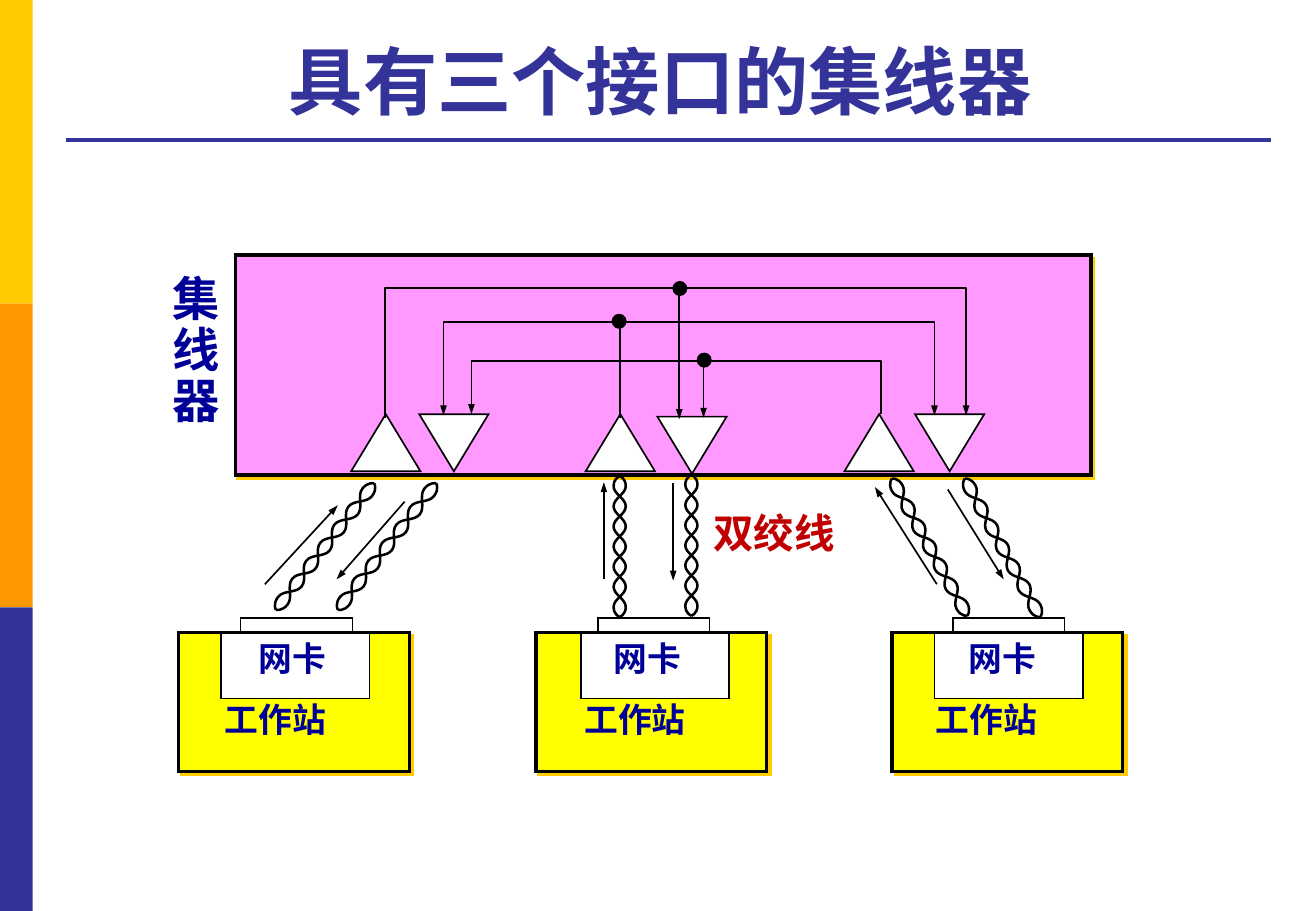
import math

from lxml import etree
from pptx import Presentation
from pptx.dml.color import RGBColor
from pptx.enum.shapes import MSO_CONNECTOR, MSO_SHAPE
from pptx.enum.text import MSO_ANCHOR, MSO_AUTO_SIZE, PP_ALIGN
from pptx.oxml.ns import qn
from pptx.util import Inches, Pt

RECT, TRIANGLE, OVAL = MSO_SHAPE.RECTANGLE, MSO_SHAPE.ISOSCELES_TRIANGLE, MSO_SHAPE.OVAL
STRAIGHT = MSO_CONNECTOR.STRAIGHT


class Theme:
    font = "Arial"
    navy, gold, orange = "333399", "FFCC00", "FF9900"
    text, accent = "000099", "C00000"
    hub, station, white, black = "FF99FF", "FFFF00", "FFFFFF", "000000"
    title_size, hub_size, cable_size, station_size = 44, 28, 24, 20
    thin, cable, rule, thick = 1, 1.5, 2.25, 2


prs = Presentation()
prs.slide_width, prs.slide_height = Inches(10.83), Inches(7.5)
s = prs.slides.add_slide(prs.slide_layouts[5])


def add_box(kind, x, y, w, h, fill, line=None, shadow=None):
    """Draw a filled shape; shadow is (distance in points, angle in degrees)."""
    sp = s.shapes.add_shape(kind, Inches(x), Inches(y), Inches(w), Inches(h))
    sp.fill.solid()
    sp.fill.fore_color.rgb = RGBColor.from_string(fill)
    if line:
        sp.line.color.rgb = RGBColor.from_string(Theme.black)
        sp.line.width = Pt(line)
        etree.SubElement(sp._element.spPr.find(qn("a:ln")), qn("a:miter"), lim="800000")
    else:
        sp.line.fill.background()
    sp.shadow.inherit = False
    if shadow:
        distance, angle = shadow
        effects = sp._element.spPr.find(qn("a:effectLst"))
        outer = etree.SubElement(effects, qn("a:outerShdw"), blurRad="0",
                                 dist=str(Pt(distance)), dir=str(angle * 60000),
                                 algn="ctr", rotWithShape="0")
        etree.SubElement(outer, qn("a:srgbClr"), val=Theme.gold)
    return sp


def add_label(lines, x, y, w, h, size, color, spacing=None):
    tf = s.shapes.add_textbox(Inches(x), Inches(y), Inches(w), Inches(h)).text_frame
    tf.word_wrap = False
    for i, line in enumerate(lines):
        p = tf.paragraphs[0] if i == 0 else tf.add_paragraph()
        p.text = line
        p.line_spacing = spacing
        p.font.name, p.font.size, p.font.bold = Theme.font, Pt(size), True
        p.font.color.rgb = RGBColor.from_string(color)


# Side stripe
for i, color in enumerate((Theme.gold, Theme.orange, Theme.navy)):
    add_box(RECT, 0, 2.5 * i, 0.27, 2.5, color)

# Title
title = s.shapes.title
title.left, title.top, title.width, title.height = map(Inches, (0.48, 0.2, 9.91, 0.87))
tf = title.text_frame
tf.text = "具有三个接口的集线器"
tf.auto_size = MSO_AUTO_SIZE.NONE
tf.vertical_anchor = MSO_ANCHOR.BOTTOM
p = tf.paragraphs[0]
p.alignment = PP_ALIGN.CENTER
p.font.name, p.font.size, p.font.bold = Theme.font, Pt(Theme.title_size), True
p.font.color.rgb = RGBColor.from_string(Theme.navy)

# Hub with its receivers (up) and transmitters (down)
add_box(RECT, 1.94, 2.1, 7.04, 1.81, Theme.hub, Theme.thick, (2.2, 63))
for x, y, rotation in ((2.89, 3.41, 0), (4.82, 3.41, 0), (6.95, 3.41, 0),
                       (3.45, 3.41, 180), (5.41, 3.43, 180), (7.53, 3.41, 180)):
    add_box(TRIANGLE, x, y, 0.57, 0.47, Theme.white, Theme.thin).rotation = rotation
add_label("集线器", 1.32, 2.22, 0.64, 1.69, Theme.hub_size, Theme.text, 0.9)

# Lines: (points, color, width, arrow at the end, curve handle)
lines = [([(0.54, 1.15), (10.46, 1.15)], Theme.navy, Theme.rule, False, None)]

# Buses inside the hub and signal arrows beside the cables
lines += [(points, Theme.black, Theme.thin, True, None) for points in (
    [(7.25, 3.41), (7.25, 2.97), (3.88, 2.97), (3.88, 3.41)],
    [(5.1, 3.44), (5.1, 2.65), (7.69, 2.65), (7.69, 3.42)],
    [(5.1, 2.65), (3.65, 2.65), (3.65, 3.42)],
    [(3.17, 3.44), (3.17, 2.37), (7.95, 2.37), (7.95, 3.42)],
    [(5.79, 2.98), (5.79, 3.44)],
    [(5.59, 2.39), (5.59, 3.45)],
    [(4.97, 4.77), (4.97, 3.97)],
    [(5.54, 3.98), (5.54, 4.78)],
    [(2.18, 4.81), (2.78, 4.16)],
    [(3.33, 4.13), (2.77, 4.77)],
    [(7.71, 4.81), (7.2, 4.01)],
    [(7.8, 4.03), (8.26, 4.77)],
)]

# Twisted pairs: two opposite waves along each cable axis, with a point at each crest
CRESTS, AMPLITUDE, HANDLE = 7, 0.05, 0.4
for x1, y1, x2, y2 in ((3.08, 3.98, 2.27, 5.02), (3.59, 3.98, 2.78, 5.02),
                       (5.1, 3.92, 5.1, 5.08), (5.69, 3.91, 5.69, 5.07),
                       (7.34, 3.94, 7.96, 5.07), (7.94, 3.94, 8.56, 5.08)):
    dx, dy = x2 - x1, y2 - y1
    length = math.hypot(dx, dy)
    handle = Inches(dx / CRESTS * HANDLE), Inches(dy / CRESTS * HANDLE)
    for side in (-AMPLITUDE, AMPLITUDE):
        strand = [(x1, y1)]
        for i in range(CRESTS):
            t, offset = (i + 0.5) / CRESTS, side * (-1) ** i / length
            strand.append((x1 + dx * t - dy * offset, y1 + dy * t + dx * offset))
        lines.append((strand + [(x2, y2)], Theme.black, Theme.cable, False, handle))

for points, color, width, arrow, handle in lines:
    start, *rest = [(Inches(x), Inches(y)) for x, y in points]
    if len(rest) == 1:
        sp = s.shapes.add_connector(STRAIGHT, *start, *rest[0])
    else:
        builder = s.shapes.build_freeform(*start)
        builder.add_line_segments(rest, close=False)
        sp = builder.convert_to_shape()
        sp.fill.background()
    if handle:
        # Turn the straight segments into curves that run along the axis at each crest
        nodes = [(int(pt.get("x")), int(pt.get("y"))) for pt in sp._element.iter(qn("a:pt"))]
        segments = list(sp._element.iter(qn("a:lnTo")))
        for i, segment in enumerate(segments):
            (ax, ay), (bx, by) = nodes[i], nodes[i + 1]
            out = handle if i > 0 else (0, 0)
            back = handle if i < len(segments) - 1 else (0, 0)
            curve = etree.Element(qn("a:cubicBezTo"))
            for x, y in ((ax + out[0], ay + out[1]), (bx - back[0], by - back[1]), (bx, by)):
                etree.SubElement(curve, qn("a:pt"), x=str(x), y=str(y))
            segment.getparent().replace(segment, curve)
    sp.line.color.rgb = RGBColor.from_string(color)
    sp.line.width = Pt(width)
    if arrow:
        etree.SubElement(sp._element.spPr.find(qn("a:ln")), qn("a:tailEnd"),
                         type="triangle", w="sm", len="med")
    etree.SubElement(sp._element.spPr, qn("a:effectLst"))

# Bus junctions
for x, y in ((5.04, 2.59), (5.54, 2.32), (5.74, 2.91)):
    add_box(OVAL, x, y, 0.11, 0.11, Theme.black, Theme.thin)

add_label(["双绞线"], 5.77, 4.13, 1.31, 0.62, Theme.cable_size, Theme.accent)

# Workstations: left edges of the station, card, card label, name and plug
for station_x, card_x, card_text_x, name_x, plug_x in (
        (1.47, 1.82, 2.03, 1.75, 1.98),
        (4.41, 4.78, 4.95, 4.71, 4.92),
        (7.34, 7.69, 7.87, 7.6, 7.84)):
    add_box(RECT, station_x, 5.21, 1.9, 1.14, Theme.station, Theme.thick, (2.8, 45))
    add_box(RECT, card_x, 5.21, 1.22, 0.54, Theme.white, Theme.thin)
    add_box(RECT, plug_x, 5.09, 0.92, 0.11, Theme.white, Theme.thin)
    add_label(["网卡"], card_text_x, 5.2, 0.82, 0.53, Theme.station_size, Theme.text)
    add_label(["工作站"], name_x, 5.7, 1.13, 0.53, Theme.station_size, Theme.text)

prs.save("out.pptx")
